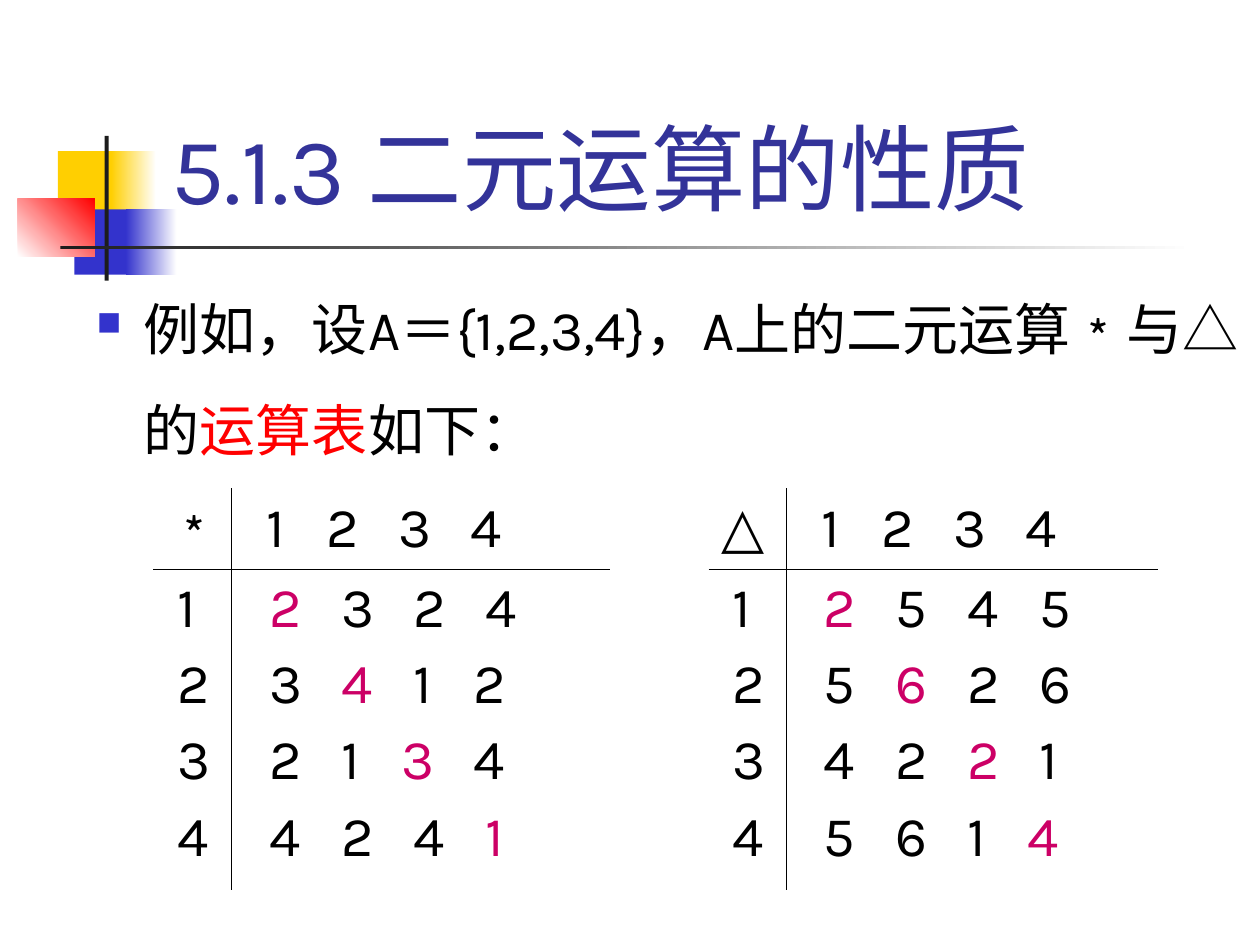
import pptx
import pptx.dml.color
import pptx.enum.shapes
import pptx.enum.text
import pptx.oxml.ns
import pptx.util
from lxml import etree

Cm = pptx.util.Cm
Pt = pptx.util.Pt
RGBColor = pptx.dml.color.RGBColor
qn = pptx.oxml.ns.qn

BLACK = RGBColor(0x00, 0x00, 0x00)
WHITE = RGBColor(0xFF, 0xFF, 0xFF)
RED = RGBColor(0xFF, 0x00, 0x00)
YELLOW = RGBColor(0xFF, 0xCF, 0x01)
BLUE = RGBColor(0x33, 0x33, 0xCC)
CHARCOAL = RGBColor(0x1C, 0x1C, 0x1C)
TITLE_BLUE = RGBColor(0x33, 0x33, 0x99)
MAGENTA = RGBColor(0xCC, 0x00, 0x66)


def write(paragraph, text, size=32, color=BLACK, font="Karla"):
    run = paragraph.add_run()
    run.text = text
    run.font.size = Pt(size)
    run.font.name = font
    run.font.bold = False
    run.font.color.rgb = color


def add_xml(parent, tag, **attributes):
    return etree.SubElement(parent, qn(tag), attributes)


class OperationSlide:
    """Holds the style and the current slide of the operation tables."""

    digit_step = 1.45
    narrow_one = 0.24
    inset = 0.25
    row_heights = (1.6, 6.48)

    def __init__(self, deck):
        self.slide = deck.slides.add_slide(deck.slide_layouts[5])

    def title(self, text, left, top, width, height):
        heading = self.slide.shapes.title
        heading.left, heading.top = Cm(left), Cm(top)
        heading.width, heading.height = Cm(width), Cm(height)
        frame = heading.text_frame
        frame.auto_size = pptx.enum.text.MSO_AUTO_SIZE.NONE
        frame.vertical_anchor = pptx.enum.text.MSO_ANCHOR.BOTTOM
        frame.paragraphs[0].alignment = pptx.enum.text.PP_ALIGN.LEFT
        write(frame.paragraphs[0], text, size=54, color=TITLE_BLUE)

    def block(self, left, top, width, height, start, end=None, angle=0):
        block = self.slide.shapes.add_shape(
            pptx.enum.shapes.MSO_SHAPE.RECTANGLE,
            Cm(left), Cm(top), Cm(width), Cm(height))
        block.shadow.inherit = False
        block.line.fill.background()
        if end is None:
            block.fill.solid()
            block.fill.fore_color.rgb = start
        else:
            block.fill.gradient()
            block.fill.gradient_angle = angle
            for stop, color in zip(block.fill.gradient_stops, (start, end)):
                stop.color.rgb = color

    def bullet(self, phrases, left, top, width, height):
        box = self.slide.shapes.add_textbox(
            Cm(left), Cm(top), Cm(width), Cm(height))
        box.text_frame.word_wrap = True
        example = box.text_frame.paragraphs[0]
        properties = example._p.get_or_add_pPr()
        properties.set("marL", str(Cm(0.95)))
        properties.set("indent", str(Cm(-0.95)))
        bullet_color = add_xml(properties, "a:buClr")
        add_xml(bullet_color, "a:srgbClr", val=str(BLUE))
        add_xml(properties, "a:buSzPct", val="60000")
        add_xml(properties, "a:buChar", char="■")
        example.line_spacing = 1.5
        for text, color in phrases:
            write(example, text, color=color)

    def cell(self, grid, row, column, indent=0):
        cell = grid.cell(row, column)
        cell.margin_left = Cm(self.inset + indent)
        cell.margin_right = Cm(self.inset)
        cell.margin_top = cell.margin_bottom = Cm(0.13)
        properties = cell._tc.get_or_add_tcPr()
        for side in ("a:lnR" if column == 0 else "a:lnL",
                     "a:lnB" if row == 0 else "a:lnT"):
            border = add_xml(properties, side, w=str(Pt(1)))
            fill = add_xml(border, "a:solidFill")
            add_xml(fill, "a:srgbClr", val=str(BLACK))
        cell.fill.background()
        return cell.text_frame

    def digits(self, frame, rows, diagonal=False):
        for index, row in enumerate(rows):
            line = frame.paragraphs[0] if index == 0 else frame.add_paragraph()
            stops = add_xml(line._p.get_or_add_pPr(), "a:tabLst")
            position = 0
            for digit in row[:-1]:
                position += self.digit_step
                if digit == "1":
                    position -= self.narrow_one
                add_xml(stops, "a:tab", pos=str(Cm(position)), algn="l")
            if index:
                line.space_before = Pt(6.2)
            for column, digit in enumerate(row):
                marked = diagonal and column == index
                write(line, "\t" + digit if column else digit,
                      color=MAGENTA if marked else BLACK)

    def operation_table(self, symbol, results, left, top, widths):
        grid = self.slide.shapes.add_table(
            2, 2, Cm(left), Cm(top),
            Cm(sum(widths)), Cm(sum(self.row_heights))).table
        grid.first_row = grid.horz_banding = False
        for column, width in zip(grid.columns, widths):
            column.width = Cm(width)
        for row, height in zip(grid.rows, self.row_heights):
            row.height = Cm(height)
        write(self.cell(grid, 0, 0).paragraphs[0], symbol)
        self.digits(self.cell(grid, 0, 1, indent=0.46), ["1234"])
        self.digits(self.cell(grid, 1, 0, indent=0.22), "1234")
        self.digits(self.cell(grid, 1, 1, indent=0.51), results, diagonal=True)


def main():
    deck = pptx.Presentation()
    deck.slide_width, deck.slide_height = Cm(25.4), Cm(19.05)
    page = OperationSlide(deck)
    page.block(1.17, 3.05, 1.22, 1.32, YELLOW)
    page.block(2.24, 3.05, 0.91, 1.32, YELLOW, WHITE)
    page.block(1.5, 4.22, 1.17, 1.32, BLUE)
    page.block(2.54, 4.22, 1.02, 1.32, BLUE, WHITE)
    page.block(0.36, 4.01, 1.55, 1.17, WHITE, RED, angle=45)
    page.block(2.11, 2.74, 0.08, 2.92, CHARCOAL)
    page.block(1.22, 4.95, 22.86, 0.08, CHARCOAL, WHITE)
    page.title("5.1.3 二元运算的性质", 3.2, 0.58, 21.64, 4.06)
    page.bullet([("例如，设A＝{1,2,3,4}，A上的二元运算﹡与△的", BLACK),
                 ("运算表", RED), ("如下：", BLACK)],
                1.7, 5.13, 23.7, 13.92)
    page.operation_table("﹡", ["2324", "3412", "2134", "4241"],
                         3.1, 9.86, (1.57, 7.62))
    page.operation_table("△", ["2545", "5626", "4221", "5614"],
                         14.3, 9.86, (1.55, 7.47))
    deck.save("out.pptx")


if __name__ == "__main__":
    main()
